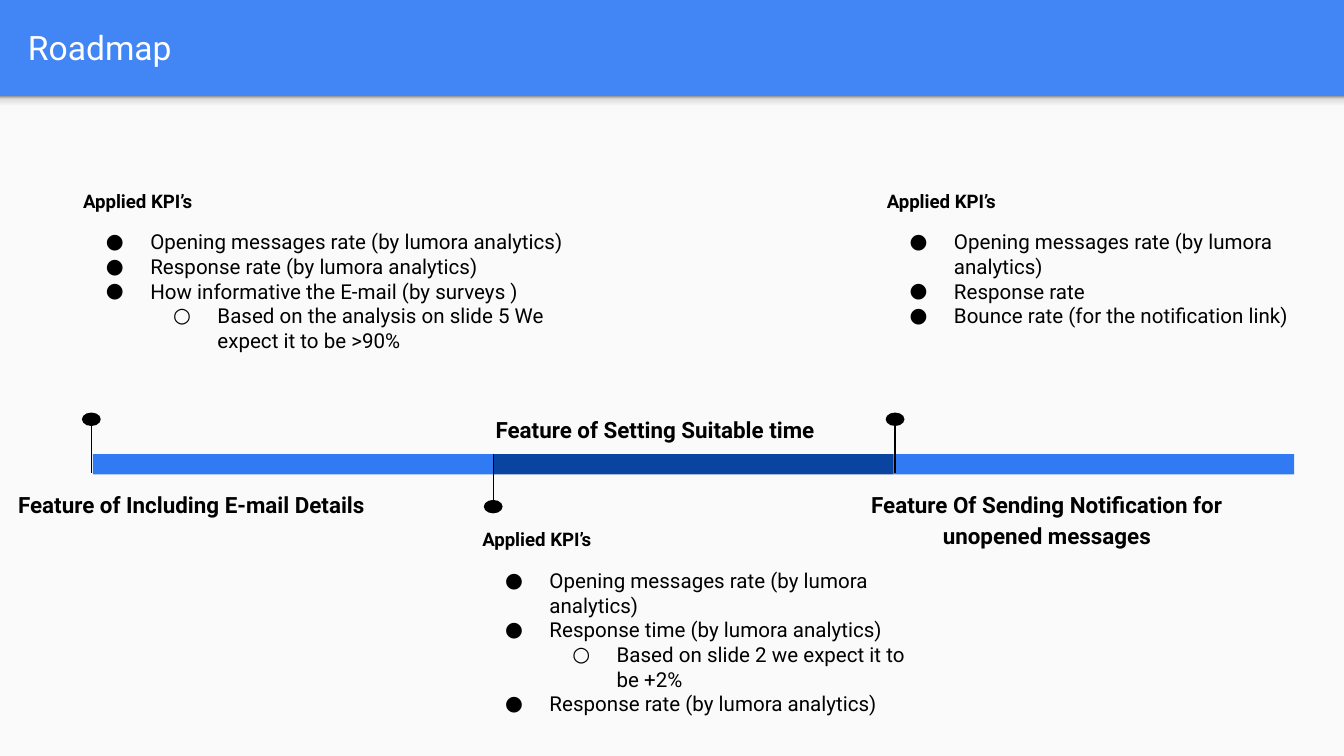
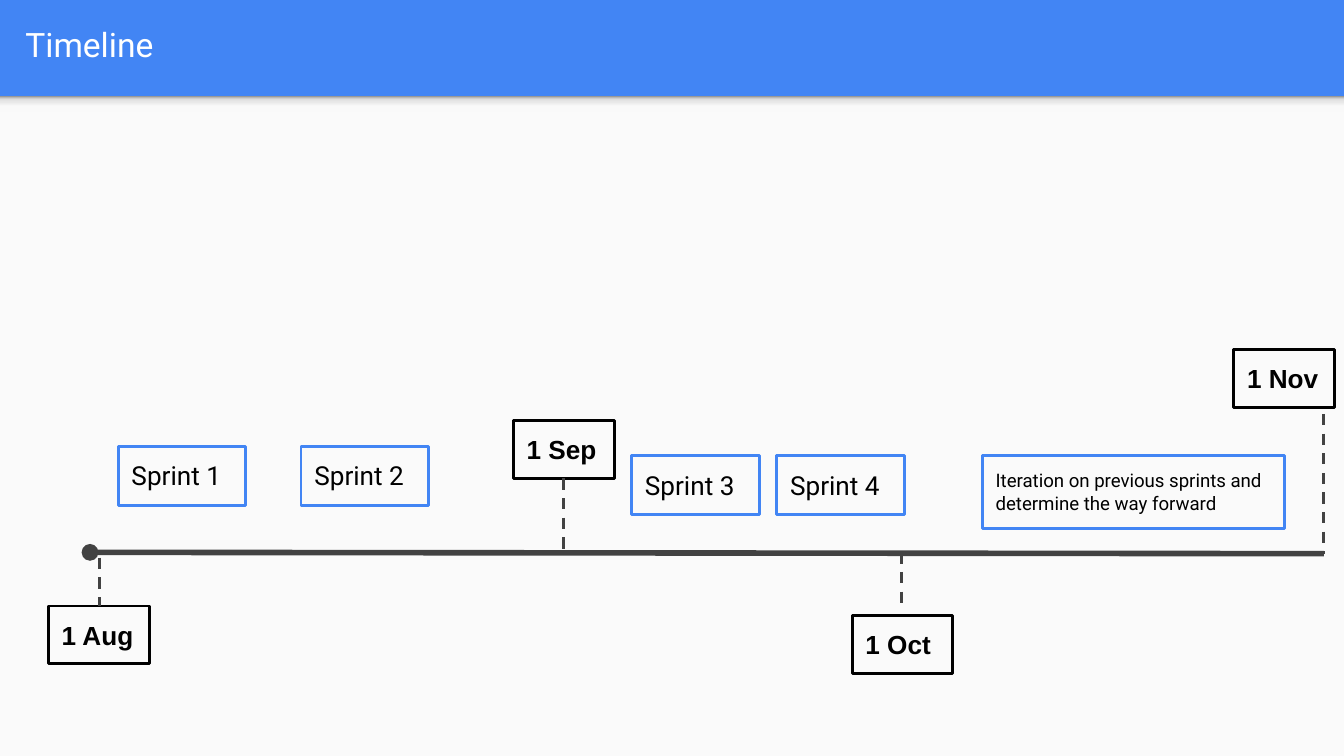
from lxml import etree
from pptx import Presentation
from pptx import util as u
from pptx.dml.color import RGBColor
from pptx.enum import dml, shapes, text
from pptx.oxml.ns import qn

BLUE, BRIGHT, NAVY = "4285F4", "307BF3", "0944A1"
PAPER, GREY, BLACK, WHITE = "FAFAFA", "424242", "000000", "FFFFFF"
SHADE = [(0, "F9F9F9"), (36, "F9F9F9"), (80, "DEDEDE"), (100, "999999")]
CELL = u.Inches(0.1)
COLS, ROWS = 100, 56.25
RECT, OVAL = shapes.MSO_SHAPE.RECTANGLE, shapes.MSO_SHAPE.OVAL
TOP, MIDDLE = text.MSO_ANCHOR.TOP, text.MSO_ANCHOR.MIDDLE
LEFT, CENTER = text.PP_ALIGN.LEFT, text.PP_ALIGN.CENTER


def rgb(value):
    """Turn a hex string into a colour."""
    return RGBColor.from_string(value)


def cells(*values):
    """Turn grid cells into lengths."""
    return [round(value * CELL) for value in values]


def assign(target, **values):
    """Set each named attribute on the target."""
    for name, value in values.items():
        setattr(target, name, value)


def node(parent, tag, **attributes):
    """Append a drawing element and return it."""
    return etree.SubElement(parent, qn(tag), attributes)


def write(para, words, size, color=BLACK, font="Roboto", bold=False):
    """Add one formatted span to a paragraph."""
    span = para.add_run()
    span.text = words
    assign(span.font, size=u.Pt(size), name=font, bold=bold)
    span.font.color.rgb = rgb(color)


def frame(shape, anchor=TOP, fit=text.MSO_AUTO_SIZE.NONE):
    """Prepare the text frame of a shape and return it."""
    inset = CELL
    assign(shape.text_frame, word_wrap=True, auto_size=fit, vertical_anchor=anchor,
           margin_left=inset, margin_right=inset, margin_top=inset, margin_bottom=inset)
    return shape.text_frame


def block(canvas, kind, box, fill=None, line=None):
    """Draw a flat shape with an optional fill and outline."""
    shape = canvas.add_shape(kind, *cells(*box))
    shape.shadow.inherit = False
    if fill:
        shape.fill.solid()
        shape.fill.fore_color.rgb = rgb(fill)
    else:
        shape.fill.background()
    if line:
        shape.line.color.rgb = rgb(line)
        shape.line.width = u.Pt(1.5)
    else:
        shape.line.fill.background()
    return shape


def rule(canvas, start, end, color, width, dash=None, head=None):
    """Draw a straight line between two grid points."""
    line = canvas.add_connector(shapes.MSO_CONNECTOR.STRAIGHT, *cells(*start, *end))
    line.line.color.rgb = rgb(color)
    assign(line.line, width=u.Pt(width), dash_style=dash)
    properties = line._element.spPr
    if head:
        node(properties.find(qn("a:ln")), "a:headEnd", type=head)
    node(properties, "a:effectLst")


def label(canvas, box, words, size, line, anchor=TOP,
          fit=text.MSO_AUTO_SIZE.NONE, **style):
    """Draw an outlined box with one left-aligned text."""
    para = frame(block(canvas, RECT, box, line=line), anchor, fit).paragraphs[0]
    para.alignment = LEFT
    write(para, words, size, **style)


def themed_page(deck, title, left, top):
    """Add a page with the blue band, the paper body and its title."""
    page = deck.slides.add_slide(deck.slide_layouts[6])
    page.background.fill.solid()
    page.background.fill.fore_color.rgb = rgb(BLUE)
    band = 7.15
    block(page.shapes, RECT, (0, band, COLS, ROWS - band), PAPER)
    shade = block(page.shapes, RECT, (0, band, COLS, 1.2), PAPER)
    shade.fill.gradient()
    shade.fill.gradient_angle = 90
    stops = shade._element.spPr.find(qn("a:gradFill")).find(qn("a:gsLst"))
    for stop in list(stops):
        stops.remove(stop)
    for position, color in SHADE:
        stop = node(stops, "a:gs", pos=str(position * 1000))
        node(stop, "a:srgbClr", val=color)
    box = page.shapes.add_textbox(*cells(left, top, 96.5, 6.6))
    write(frame(box, MIDDLE).paragraphs[0], title, 18, WHITE)
    return page


def kpi_list(canvas, box, items):
    """Write the KPI heading and its two-level bullet list."""
    body = frame(canvas.add_textbox(*cells(*box)))
    heading = body.paragraphs[0]
    heading.space_after = u.Pt(9.4)
    write(heading, "Applied KPI’s", 10, bold=True)
    for level, words in items:
        para = body.add_paragraph()
        para.level = level
        write(para, words, 11)
        layout = para._p.get_or_add_pPr()
        layout.set("marL", str(u.Inches(0.5 * (level + 1))))
        layout.set("indent", str(-u.Inches(0.33)))
        node(node(layout, "a:buClr"), "a:srgbClr", val=BLACK)
        node(layout, "a:buFont", typeface="Roboto")
        node(layout, "a:buChar", char="●○"[level])


def stage(page, box, pin, color, below, caption, caption_box, kpi_box, items):
    """Draw one stage: bar, pin, caption and KPI list."""
    canvas = page.shapes.add_group_shape().shapes
    left, top, width, height = box
    block(canvas, RECT, box, color)
    start = top if below else top - 2.5
    rule(canvas, (pin, start), (pin, start + 3.9), BLACK, 0.75)
    block(canvas, OVAL, (pin - 0.7, top + (3.4 if below else -3.1), 1.4, 1), BLACK)
    shift, *rest = caption_box
    para = frame(canvas.add_textbox(*cells(left + shift, *rest))).paragraphs[0]
    assign(para, alignment=CENTER, line_spacing=1.15, space_after=u.Pt(16))
    write(para, caption, 12, bold=True)
    shift, *rest = kpi_box
    kpi_list(canvas, (left + shift, *rest), items)


def roadmap(deck):
    """Build the page with three feature stages."""
    page = themed_page(deck, "Roadmap", 1.1, 0.2)
    opening = (0, "Opening messages rate (by lumora analytics)")
    response = (0, "Response rate (by lumora analytics)")
    stages = [
        (BRIGHT, False, "Feature of Including E-mail Details",
         (-6.7, 35.25, 28.1, 4.1), (-1.7, 13.1, 38.6, 17.6),
         [opening, response, (0, "How informative the E-mail (by surveys )"),
          (1, "Based on the analysis on slide 5 We expect it to be >90%")]),
        (NAVY, True, "Feature of Setting Suitable time",
         (-6, 29.65, 36.1, 4.1), (-1.8, 38.3, 34.3, 17),
         [opening, (0, "Response time (by lumora analytics)"),
          (1, "Based on slide 2 we expect it to be +2%"), response]),
        (BRIGHT, False, "Feature Of Sending Notification for unopened messages",
         (-4.9, 35.25, 32.6, 4.1), (-1.5, 13.1, 34.3, 17.6),
         [opening, (0, "Response rate"),
          (0, "Bounce rate (for the notification link)")]),
    ]
    width = 29.8
    for index, parts in enumerate(stages):
        pin = 6.8 + index * 29.9
        stage(page, (6.9 + index * width, 33.8, width, 1.5), pin, *parts)


def timeline(deck):
    """Build the page with dates and sprints along an axis."""
    page = themed_page(deck, "Timeline", 0.9, 0)
    canvas = page.shapes
    rule(canvas, (6.7, 41.1), (98.5, 41.2), GREY, 3, head="oval")
    milestones = [
        ("1 Aug", 3.6, 45.1, 7.4, 41.5, 45.1),
        ("1 Sep", 38.2, 31.3, 41.9, 35.6, 41.2),
        ("1 Oct", 63.4, 45.8, 67.1, 41.1, 45.1),
        ("1 Nov", 91.8, 26, 98.5, 30.8, 41.2),
    ]
    for date, left, top, tick, start, end in milestones:
        label(canvas, (left, top, 7.5, 4.3), date, 14, BLACK, MIDDLE,
              font="Arial", bold=True)
        rule(canvas, (tick, start), (tick, end), GREY, 1.5, dml.MSO_LINE.DASH)
    sprints = [(8.8, 33.2), (22.4, 33.2), (47, 33.9), (57.8, 33.9)]
    grow = text.MSO_AUTO_SIZE.SHAPE_TO_FIT_TEXT
    for number, (left, top) in enumerate(sprints, 1):
        label(canvas, (left, top, 9.5, 4.4), f"Sprint {number}", 14, BLUE, fit=grow)
    label(canvas, (73.1, 33.9, 22.5, 5.4),
          "Iteration on previous sprints and determine the way forward",
          10, BLUE, fit=grow)


def main():
    """Build and save the deck."""
    deck = Presentation()
    deck.slide_width, deck.slide_height = cells(COLS, ROWS)
    roadmap(deck)
    timeline(deck)
    deck.save("out.pptx")


if __name__ == "__main__":
    main()
